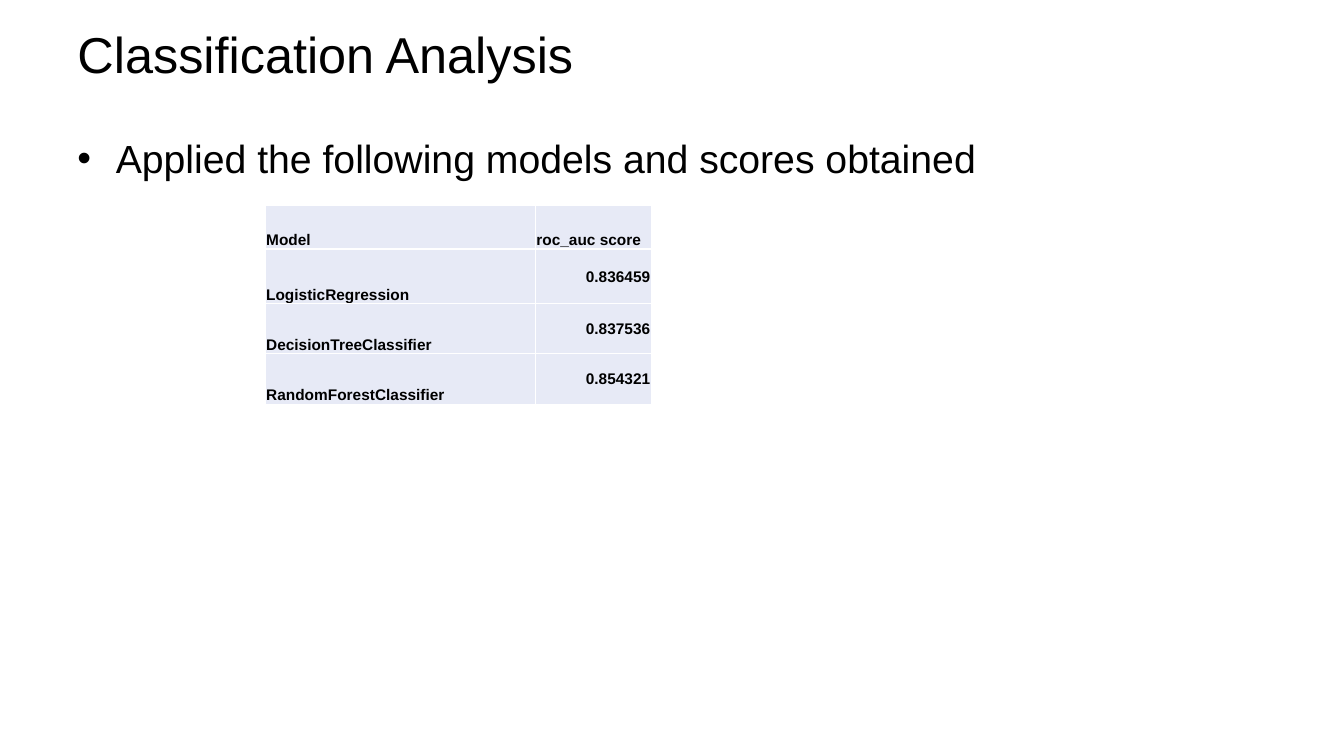
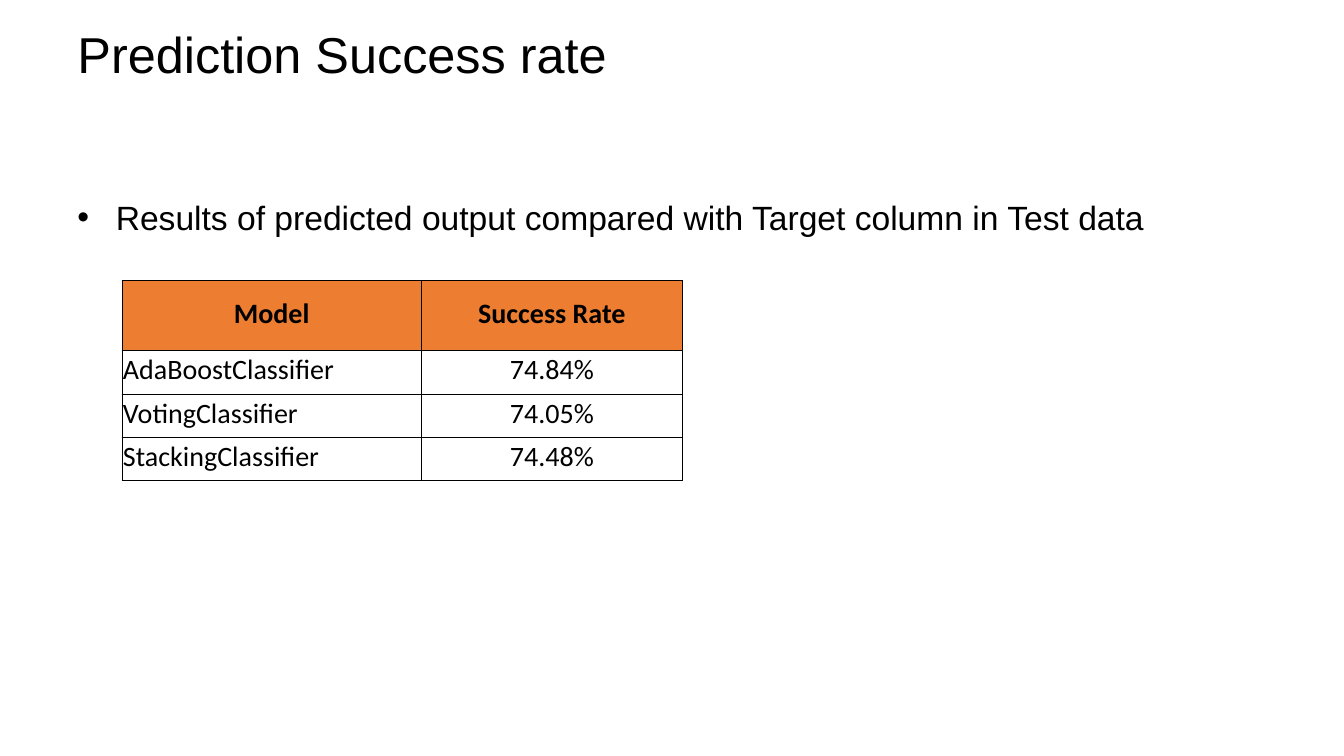
from lxml.etree import SubElement
from pptx import Presentation
from pptx.dml.color import RGBColor
from pptx.enum.text import MSO_ANCHOR, PP_ALIGN
from pptx.oxml.ns import qn
from pptx.util import Inches, Pt

BLACK = "000000"
WHITE = "FFFFFF"
LAVENDER = "E7EAF6"
ORANGE = "ED7D31"
BODY_FONT = "Arial"
LEFT = 0.67
INDENT = 0.38

TITLE_FRAME = {"word_wrap": True, "vertical_anchor": MSO_ANCHOR.MIDDLE}
BODY_FRAME = {"word_wrap": True, "vertical_anchor": MSO_ANCHOR.TOP}
SCORE_MARGINS = {
    "margin_left": Inches(0.01),
    "margin_right": Inches(0.01),
    "margin_top": Inches(0.01),
    "margin_bottom": Inches(0),
}
RATE_MARGINS = {**SCORE_MARGINS, "margin_bottom": Inches(0.05)}


def colour(hex_value):
    return RGBColor.from_string(hex_value)


def apply_format(target, values):
    for name, value in values.items():
        setattr(target, name, value)


def write(paragraph, text, size, font=BODY_FONT, bold=False):
    run = paragraph.add_run()
    run.text = text
    apply_format(run.font, {"name": font, "size": Pt(size), "bold": bold})
    run.font.color.rgb = colour(BLACK)


def add_text(slide, text, box, size, frame_format):
    frame = slide.shapes.add_textbox(*map(Inches, box)).text_frame
    apply_format(frame, frame_format)
    paragraph = frame.paragraphs[0]
    write(paragraph, text, size)
    return paragraph


def add_title(slide, text):
    add_text(slide, text, (LEFT, 0.21, 12, 0.64), 36, TITLE_FRAME)


def add_bullet(slide, text, top, width, size):
    paragraph = add_text(slide, text, (LEFT, top, width, 0.6), size, BODY_FRAME)
    properties = paragraph._p.get_or_add_pPr()
    properties.set("marL", str(Inches(INDENT)))
    properties.set("indent", str(-Inches(INDENT)))
    SubElement(properties, qn("a:buFont"), typeface=BODY_FONT)
    SubElement(properties, qn("a:buChar"), char="•")


def add_borders(cell, hex_value, width):
    properties = cell._tc.get_or_add_tcPr()
    for side in ("a:lnL", "a:lnR", "a:lnT", "a:lnB"):
        border = SubElement(properties, qn(side), w=str(Pt(width)))
        fill = SubElement(border, qn("a:solidFill"))
        SubElement(fill, qn("a:srgbClr"), val=str(colour(hex_value)))


def fill_cell(cell, hex_value):
    if hex_value is None:
        cell.fill.background()
    else:
        cell.fill.solid()
        cell.fill.fore_color.rgb = colour(hex_value)


def add_results(slide, origin, widths, heights, records, border, style):
    size = (sum(widths), sum(heights))
    results = slide.shapes.add_table(
        len(heights), len(widths), *map(Inches, origin + size)
    ).table
    apply_format(results, {"first_row": False, "horz_banding": False})
    for column, width in zip(results.columns, widths):
        column.width = Inches(width)
    for row, height, record in zip(results.rows, heights, records):
        row.height = Inches(height)
        look = style["header"] if record is records[0] else style["body"]
        for cell, text, align, anchor in zip(
            row.cells, record, look["align"], look["anchor"]
        ):
            apply_format(cell, {**style["margins"], "vertical_anchor": anchor})
            add_borders(cell, *border)
            fill_cell(cell, look["fill"])
            paragraph = cell.text_frame.paragraphs[0]
            paragraph.alignment = align
            write(paragraph, text, style["size"], style["font"], look["bold"])


def row_look(align, anchor, fill, bold):
    return {"align": align, "anchor": anchor, "fill": fill, "bold": bold}


def add_classification(slide):
    left, right = PP_ALIGN.LEFT, PP_ALIGN.RIGHT
    bottom, middle = MSO_ANCHOR.BOTTOM, MSO_ANCHOR.MIDDLE
    add_title(slide, "Classification Analysis")
    add_bullet(slide, "Applied the following models and scores obtained", 1.28, 10.03, 28)
    records = [
        ("Model", "roc_auc score"),
        ("LogisticRegression", "0.836459"),
        ("DecisionTreeClassifier", "0.837536"),
        ("RandomForestClassifier", "0.854321"),
    ]
    style = {
        "font": BODY_FONT,
        "size": 11,
        "margins": SCORE_MARGINS,
        "header": row_look((left, left), (bottom, bottom), LAVENDER, True),
        "body": row_look((left, right), (bottom, middle), LAVENDER, True),
    }
    add_results(slide, (2.63, 2.04), (2.68, 1.15), (0.43, 0.54, 0.5, 0.5),
                records, (WHITE, 1), style)


def add_prediction(slide):
    left, center = PP_ALIGN.LEFT, PP_ALIGN.CENTER
    middle = (MSO_ANCHOR.MIDDLE,) * 2
    add_title(slide, "Prediction Success rate")
    add_bullet(slide, "Results of predicted output compared with Target column in Test data",
               1.9, 11.14, 24)
    records = [
        ("Model", "Success Rate"),
        ("AdaBoostClassifier", "74.84%"),
        ("VotingClassifier", "74.05%"),
        ("StackingClassifier", "74.48%"),
    ]
    style = {
        "font": "Calibri",
        "size": 20,
        "margins": RATE_MARGINS,
        "header": row_look((center, center), middle, ORANGE, True),
        "body": row_look((left, center), middle, None, False),
    }
    add_results(slide, (1.21, 2.78), (2.97, 2.59), (0.7, 0.43, 0.43, 0.43),
                records, (BLACK, 0.5), style)


def main():
    deck = Presentation()
    apply_format(deck, {"slide_width": Inches(13.33), "slide_height": Inches(7.5)})
    for build in (add_classification, add_prediction):
        build(deck.slides.add_slide(deck.slide_layouts[6]))
    deck.save("out.pptx")


if __name__ == "__main__":
    main()
